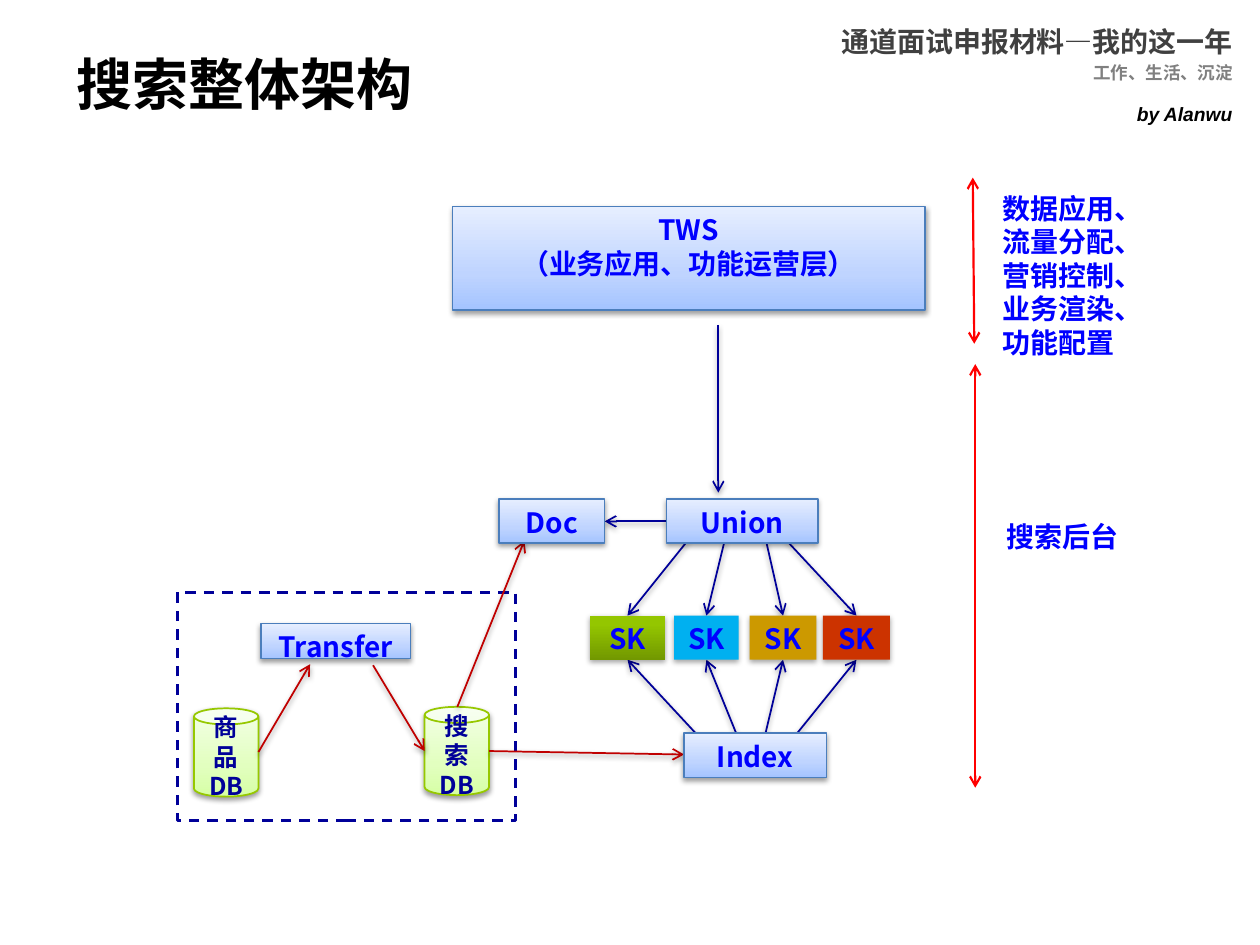
import pptx
import pptx.dml.color
import pptx.enum.dml
import pptx.enum.shapes
import pptx.enum.text
import pptx.oxml
import pptx.oxml.ns
import pptx.util
from lxml import etree

Cm, Pt = pptx.util.Cm, pptx.util.Pt
SHAPE = pptx.enum.shapes.MSO_SHAPE
ALIGN = pptx.enum.text.PP_ALIGN
ANCHOR = pptx.enum.text.MSO_ANCHOR
qn = pptx.oxml.ns.qn

CJK = "Noto Sans CJK SC"
NAVY, BLUE, RED, DARK_RED = "000099", "0000FF", "FF0000", "C00000"
BLUE_FADE = [(0, "A4C4FF"), (35, "BFD4FF"), (100, "E6EEFF")]
LIME_FADE = [(0, "D6FFA5"), (35, "E2FFBF"), (100, "F3FFE7")]
GREEN_FADE = [(0, "729800"), (80, "94C600"), (100, "95C700")]


def rgb(value):
    """Turn a hex string into a colour."""
    return pptx.dml.color.RGBColor.from_string(value)


def add_color(parent, value):
    """Append a colour element to an XML parent and return it."""
    return etree.SubElement(parent, qn("a:srgbClr"), val=value)


def set_shadow(properties, alpha):
    """Give shape properties a soft shadow, or none when alpha is 0."""
    effects = properties.find(qn("a:effectLst"))
    if effects is None:
        effects = etree.SubElement(properties, qn("a:effectLst"))
    if alpha:
        outer = etree.SubElement(
            effects, qn("a:outerShdw"), blurRad=str(Pt(3.1)), dist=str(Pt(1.6)),
            dir="5400000", rotWithShape="0")
        etree.SubElement(add_color(outer, "000000"), qn("a:alpha"), val=str(alpha * 1000))


def set_fill(shape, fill):
    """Fill with a hex colour, upward gradient stops, or nothing."""
    if fill is None:
        shape.fill.background()
    elif isinstance(fill, str):
        shape.fill.solid()
        shape.fill.fore_color.rgb = rgb(fill)
    else:
        shape.fill.gradient()
        shape.fill.gradient_angle = 90
        stops = shape._element.spPr.find(".//" + qn("a:gsLst"))
        for stop in list(stops):
            stops.remove(stop)
        for position, value in fill:
            add_color(etree.SubElement(stops, qn("a:gs"), pos=str(position * 1000)), value)


def write(shape, lines, size, color, font=CJK, align=ALIGN.LEFT, anchor=ANCHOR.TOP, italic=False):
    """Write one bold paragraph for each line."""
    frame = shape.text_frame
    frame.word_wrap = True
    frame.vertical_anchor = anchor
    for index, line in enumerate(lines):
        paragraph = frame.add_paragraph() if index else frame.paragraphs[0]
        paragraph.alignment = align
        run = paragraph.add_run()
        run.text = line
        run.font.size, run.font.bold, run.font.italic = Pt(size), True, italic
        run.font.color.rgb = rgb(color)
        run.font.name = font
        etree.SubElement(run._r.get_or_add_rPr(), qn("a:ea"), typeface=font)


def label(slide, left, top, width, height, lines, size, color, **style):
    """Add a text box."""
    box = slide.shapes.add_textbox(Cm(left), Cm(top), Cm(width), Cm(height))
    write(box, lines, size, color, **style)


def block(slide, left, top, width, height, lines=(), fill=BLUE_FADE, line="4B7EBC",
          weight=0.75, kind=SHAPE.RECTANGLE, size=16, color=BLUE, anchor=ANCHOR.TOP, shadow=38):
    """Add a filled shape with centred text and return it."""
    shape = slide.shapes.add_shape(kind, Cm(left), Cm(top), Cm(width), Cm(height))
    set_fill(shape, fill)
    if line:
        shape.line.color.rgb = rgb(line)
        shape.line.width = Pt(weight)
    else:
        shape.line.fill.background()
    shape.shadow.inherit = False
    set_shadow(shape._element.spPr, shadow)
    write(shape, lines, size, color, align=ALIGN.CENTER, anchor=anchor)
    return shape


def arrow(slide, left, top, start, end, color=NAVY, weight=1, double=False, shadow=38):
    """Draw an arrow between two points measured from left and top."""
    connector = slide.shapes.add_connector(
        pptx.enum.shapes.MSO_CONNECTOR.STRAIGHT,
        Cm(left + start[0]), Cm(top + start[1]), Cm(left + end[0]), Cm(top + end[1]))
    connector.line.color.rgb = rgb(color)
    connector.line.width = Pt(weight)
    line = connector.line._get_or_add_ln()
    for side in ("headEnd", "tailEnd") if double else ("tailEnd",):
        etree.SubElement(line, qn("a:" + side), type="arrow")
    set_shadow(connector._element.spPr, shadow)


def header(slide, left, top, width):
    """Place the right-aligned running header and the slide title."""
    right = {"align": ALIGN.RIGHT}
    label(slide, left, top, width, 1, ["通道面试申报材料—我的这一年"], 16, "404040",
          anchor=ANCHOR.MIDDLE, **right)
    label(slide, left, top + 0.79, width, 0.6, ["工作、生活、沉淀"], 10, "808080", **right)
    label(slide, left, top + 1.6, width, 0.6, ["by Alanwu"], 11, "000000",
          font="Arial", italic=True, **right)
    label(slide, left + 1, top + 0.5, 16.7, 1.7, ["搜索整体架构"], 32, "000000",
          anchor=ANCHOR.MIDDLE)


def application_layer(slide, left, top, width, height):
    """Place the application layer and its arrow down to the backend."""
    arrow(slide, left, top, (5.36, 2.38), (5.36, 5.76))
    block(slide, left, top, width, height, ["TWS", "（业务应用、功能运营层）"])


def data_area(slide, left, top, width, height):
    """Place the dashed data area with its databases and data flows."""
    frame = block(slide, left, top, width, height, fill=None, line=NAVY, weight=1.5, shadow=0)
    frame.line.dash_style = pptx.enum.dml.MSO_LINE.DASH
    for x, y, database in ((0.33, 2.34, "商品"), (4.98, 2.31, "搜索")):
        block(slide, left + x, top + y, 1.3, 1.78, [database, "DB"], LIME_FADE, "96C800", 1,
              SHAPE.CAN, 14, NAVY, ANCHOR.MIDDLE)
    flows = [((1.63, 3.22), (2.67, 1.45)), ((3.94, 1.47), (4.98, 3.2)),
             ((6.28, 3.2), (10.21, 3.27)), ((5.64, 2.31), (6.99, -1.04))]
    for start, end in flows:
        arrow(slide, left, top, start, end, DARK_RED)
    block(slide, left + 1.68, top + 0.63, 3.02, 0.71, ["Transfer"])


def search_backend(slide, left, top):
    """Place the query nodes, the row of SK nodes and the index."""
    height, sk_top, index_top = 0.89, 2.35, 4.72
    sk_nodes = [  # left, width, fill, start below Union, start above Index
        (1.83, 1.52, GREEN_FADE, 3.81, 4.01), (3.53, 1.3, "00B0F0", 4.55, 4.8),
        (5.05, 1.35, "CC9900", 5.38, 5.36), (6.53, 1.35, "CC3300", 5.79, 5.97)]
    arrow(slide, left, top, (3.38, 0.45), (2.13, 0.45))
    for x, width, fill, union_x, index_x in sk_nodes:
        middle = x + width / 2
        arrow(slide, left, top, (union_x, 0.83), (middle, sk_top))
        arrow(slide, left, top, (index_x, index_top + 0.05), (middle, sk_top + height))
        block(slide, left + x, top + sk_top, width, height, ["SK"], fill, None, shadow=35)
    for x, y, width, name in ((0, 0, 2.13, "Doc"), (3.38, 0, 3.05, "Union"),
                              (3.73, index_top, 2.87, "Index")):
        block(slide, left + x, top + y, width, height, [name])


def layer_notes(slide, left, top, width):
    """Place the red range arrows and the notes beside them."""
    for start, end in (((0, 0), (0.03, 3.35)), ((0.05, 3.76), (0.05, 12.3))):
        arrow(slide, left, top, start, end, RED, 1.25, double=True, shadow=0)
    label(slide, left + 0.35, top + 0.15, width, 3.68,
          ["数据应用、流量分配、营销控制、业务渲染、", "功能配置"], 16, BLUE)
    label(slide, left + 0.43, top + 6.76, width, 0.94, ["搜索后台"], 16, BLUE)


def main():
    """Build and save the slide."""
    deck = pptx.Presentation()
    deck.slide_width, deck.slide_height = Cm(25.4), Cm(19.05)
    slide = deck.slides.add_slide(deck.slide_layouts[6])
    header(slide, 0.3, 0.33, 24.8)
    layer_notes(slide, 19.61, 3.58, 3.35)
    data_area(slide, 3.58, 11.94, 6.81, 4.6)
    application_layer(slide, 9.12, 4.17, 9.53, 2.08)
    search_backend(slide, 10.06, 10.06)
    deck.save("out.pptx")


main()
